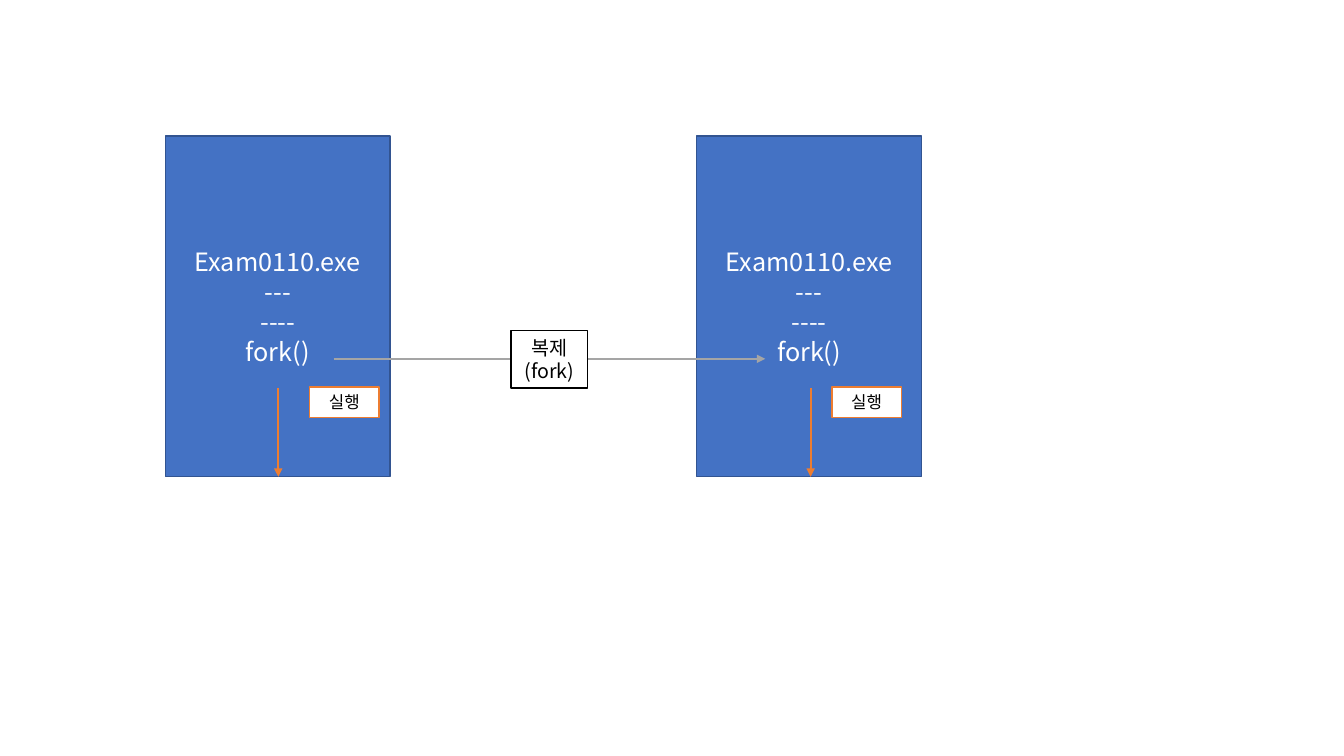
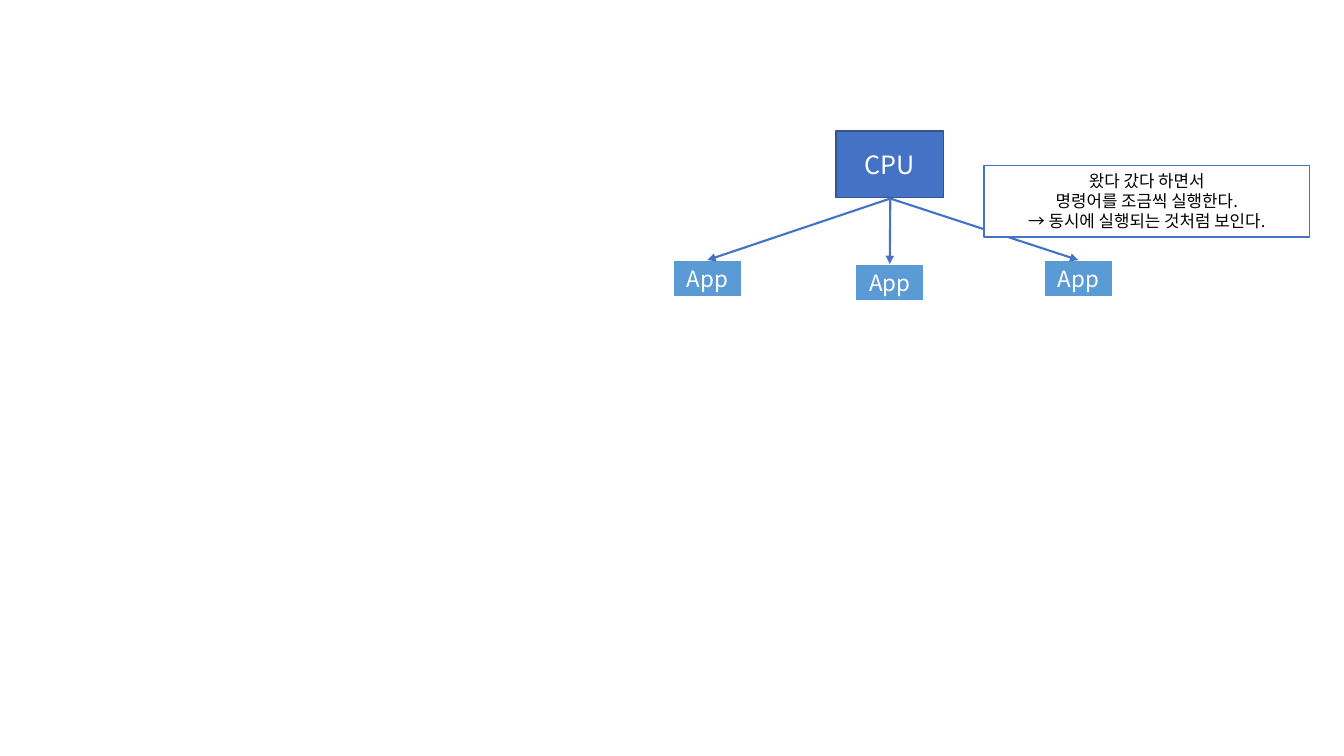
from pptx import Presentation
from pptx.dml.color import RGBColor
from pptx.enum.shapes import MSO_CONNECTOR, MSO_SHAPE
from pptx.enum.text import MSO_ANCHOR, MSO_AUTO_SIZE, PP_ALIGN
from pptx.oxml.ns import qn
from pptx.util import Inches, Pt
from lxml.etree import SubElement

FONT = "Noto Sans CJK KR"
LINE_HEIGHT = 1.2
COLORS = {
    "white": "FFFFFF",
    "black": "000000",
    "blue": "4472C4",
    "navy": "325491",
    "sky": "5B9BD5",
    "orange": "ED7D31",
    "gray": "A5A5A5",
}


def rgb(name):
    """Look up a palette colour."""
    return RGBColor.from_string(COLORS[name])


def add_box(s, x, y, w, h, lines, size, fill, line, line_width=1, color="white"):
    """Add a rectangle with centred lines of text and return it."""
    sp = s.shapes.add_shape(MSO_SHAPE.RECTANGLE, Inches(x), Inches(y), Inches(w), Inches(h))
    sp.shadow.inherit = False
    sp.fill.solid()
    sp.fill.fore_color.rgb = rgb(fill)
    sp.line.color.rgb = rgb(line)
    sp.line.width = Pt(line_width)
    tf = sp.text_frame
    tf.word_wrap = True
    tf.vertical_anchor = MSO_ANCHOR.MIDDLE
    tf.text = "\n".join(lines)
    for p in tf.paragraphs:
        p.alignment = PP_ALIGN.CENTER
        p.line_spacing = Pt(size * LINE_HEIGHT)
        for r in p.runs:
            r.font.size = Pt(size)
            r.font.name = FONT
            r.font.color.rgb = rgb(color)
            SubElement(r.font._element, qn("a:ea"), typeface=FONT)
    return sp


def add_label(s, x, y, w, h, lines, size, line):
    """Add a white label that grows with its black text."""
    sp = add_box(s, x, y, w, h, lines, size, "white", line, color="black")
    sp.text_frame.vertical_anchor = MSO_ANCHOR.TOP
    sp.text_frame.auto_size = MSO_AUTO_SIZE.SHAPE_TO_FIT_TEXT


def add_arrow(s, x1, y1, x2, y2, color):
    """Add a straight arrow that points at its second end."""
    arrow = s.shapes.add_connector(
        MSO_CONNECTOR.STRAIGHT, Inches(x1), Inches(y1), Inches(x2), Inches(y2))
    arrow.line.color.rgb = rgb(color)
    arrow.line.width = Pt(1.5)
    SubElement(arrow.line._get_or_add_ln(), qn("a:tailEnd"), type="triangle")
    SubElement(arrow._element.spPr, qn("a:effectLst"))


def build_fork(s):
    """Show a process cloned by fork, both copies running on."""
    for x in (1.64, 6.91):
        add_box(s, x, 1.35, 2.23, 3.38, ["Exam0110.exe", "---", "----", "fork()"],
                18, "blue", "navy")
    add_arrow(s, 3.31, 3.56, 7.59, 3.56, "gray")
    add_label(s, 5.07, 3.28, 0.76, 0.57, ["복제", "(fork)"], 14, "black")
    for arrow_x, label_x in ((2.76, 3.07), (8.04, 8.25)):
        add_arrow(s, arrow_x, 3.85, arrow_x, 4.73, "orange")
        add_label(s, label_x, 3.84, 0.69, 0.3, ["실행"], 12, "orange")


def build_time_sharing(s):
    """Show one CPU that takes turns among three apps."""
    app_w, cpu_x, cpu_bottom = 0.69, 8.83, 1.97
    apps = ((6.67, 2.58), (8.48, 2.62), (10.35, 2.58))
    add_box(s, 8.29, 1.3, 1.07, 0.66, ["CPU"], 18, "blue", "navy")
    for x, y in apps:
        add_box(s, x, y, app_w, 0.37, ["App"], 16, "sky", "white", 1.5)
    for x, y in apps:
        add_arrow(s, cpu_x, cpu_bottom, x + app_w / 2, y, "blue")
    add_label(s, 9.76, 1.64, 3.23, 0.71,
              ["왔다 갔다 하면서", "명령어를 조금씩 실행한다.", "→ 동시에 실행되는 것처럼 보인다."],
              12, "blue")


def main():
    """Build and save the presentation."""
    prs = Presentation()
    prs.slide_width, prs.slide_height = Inches(13.33), Inches(7.5)
    for build in (build_fork, build_time_sharing):
        build(prs.slides.add_slide(prs.slide_layouts[6]))
    prs.save("out.pptx")


main()
